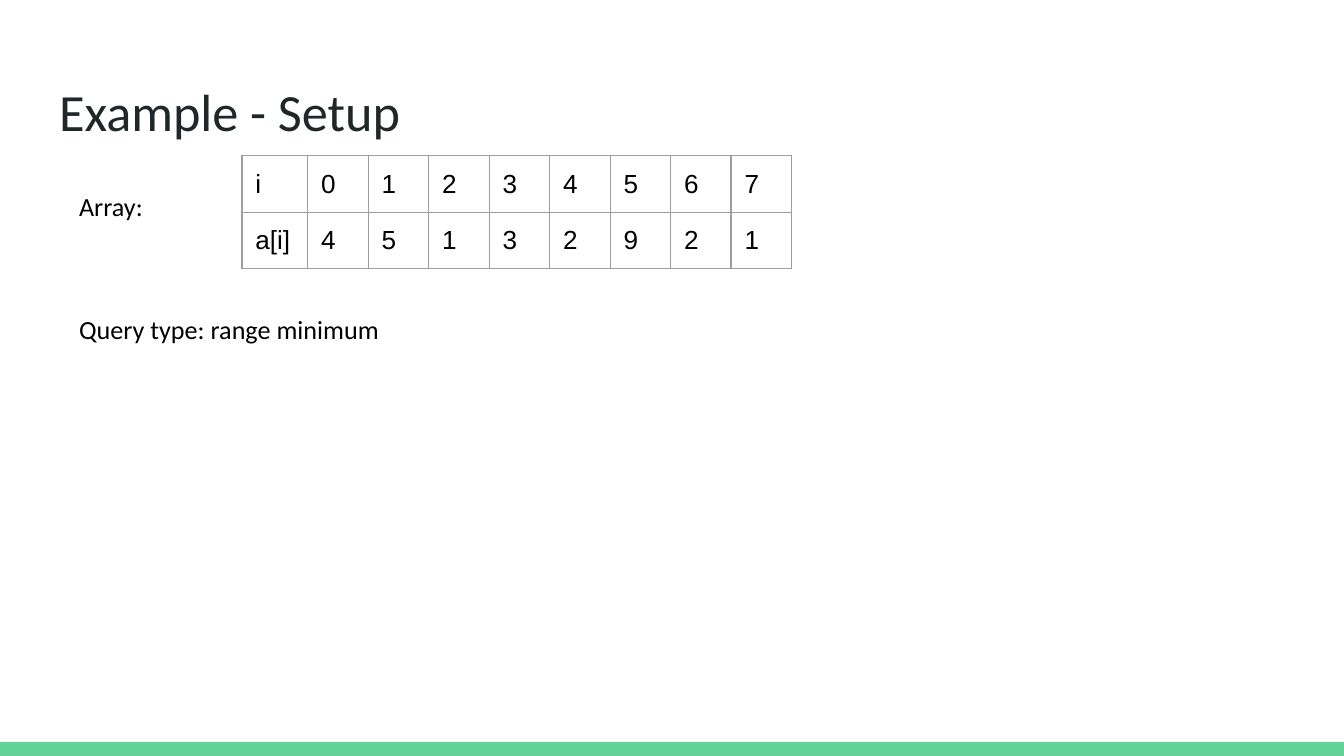
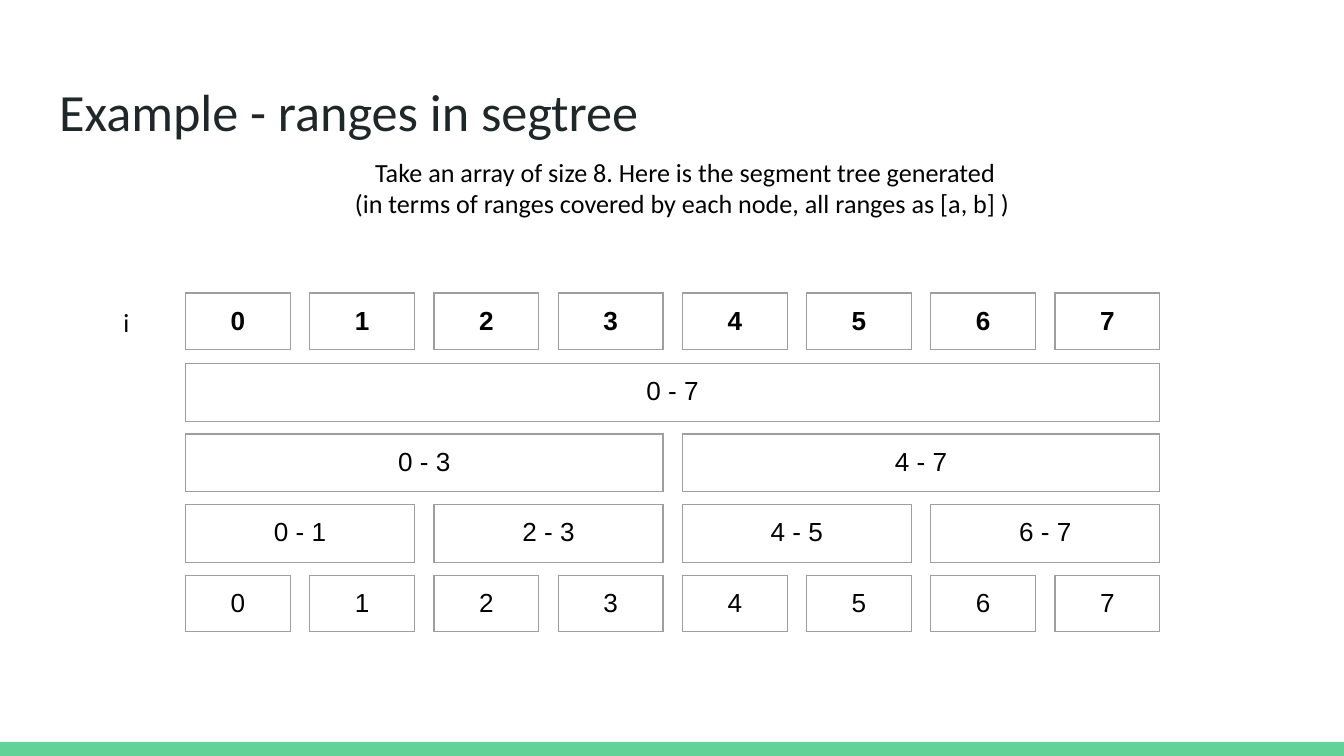
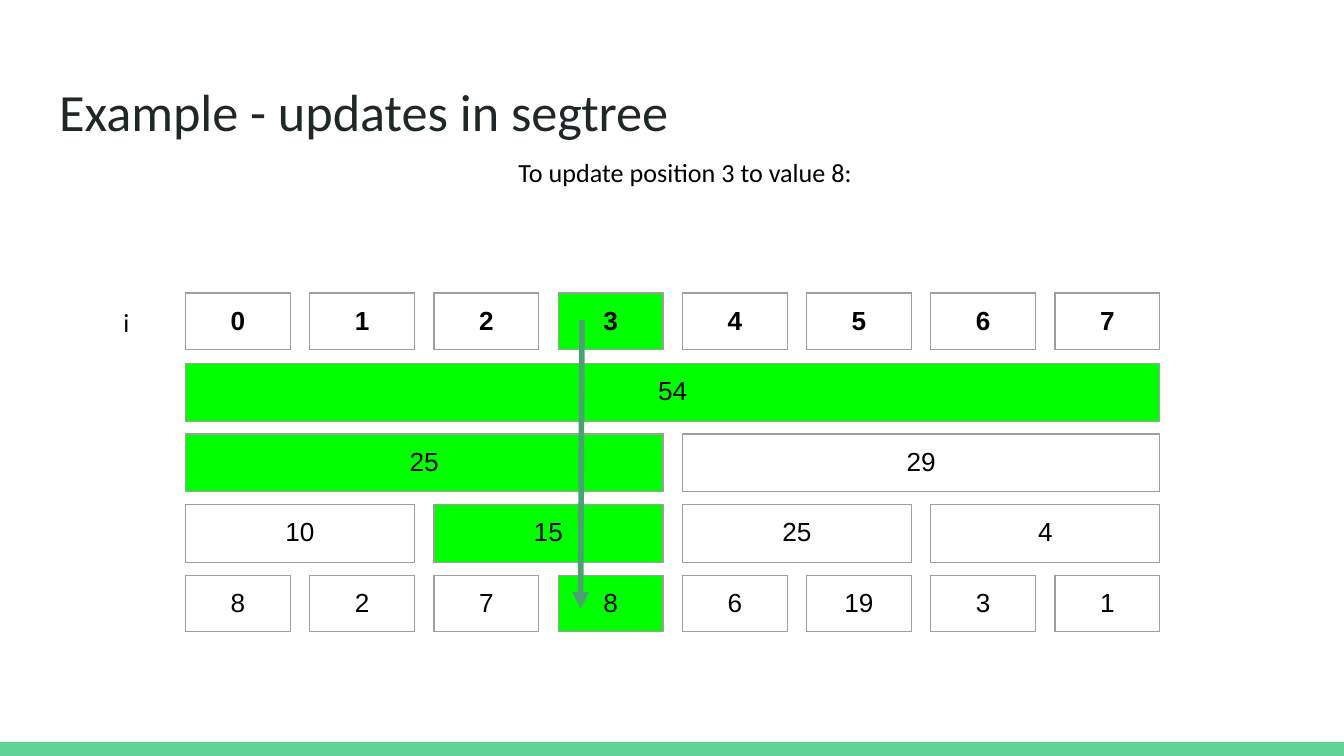
import pptx
import pptx.dml.color
import pptx.enum.shapes
import pptx.enum.text
import pptx.oxml.ns
import pptx.util
from lxml import etree

Inches = pptx.util.Inches
Pt = pptx.util.Pt
rgb = pptx.dml.color.RGBColor.from_string
qn = pptx.oxml.ns.qn
LEFT = pptx.enum.text.PP_ALIGN.LEFT
CENTER = pptx.enum.text.PP_ALIGN.CENTER

BAND, TITLE, BLACK = "63D297", "202729", "000000"
GRID, VISITED, ARROW = "9E9E9E", "00FF00", "4BA173"


def write(holder, text, size=14, font="Calibri", color=BLACK, bold=False, align=LEFT):
    """Fill a shape or a table cell with text, one paragraph per line."""
    frame = holder.text_frame
    inset = holder if hasattr(holder, "margin_left") else frame
    inset.margin_left = inset.margin_right = Inches(0.1)
    inset.margin_top = inset.margin_bottom = Inches(0.1)
    inset.vertical_anchor = pptx.enum.text.MSO_ANCHOR.TOP
    if inset is frame:
        frame.word_wrap = True
        frame.auto_size = pptx.enum.text.MSO_AUTO_SIZE.NONE
    frame.text = text
    for paragraph in frame.paragraphs:
        paragraph.alignment = align
        paragraph.font.size = Pt(size)
        paragraph.font.name = font
        paragraph.font.bold = bold
        paragraph.font.color.rgb = rgb(color)


def add_grid(slide, left, top, widths, height, rows, fill=None, **text_format):
    """Add a table with thin grey borders on every cell."""
    table = slide.shapes.add_table(
        len(rows), len(widths), Inches(left), Inches(top),
        Inches(sum(widths)), Inches(height * len(rows))).table
    table.first_row = table.horz_banding = False
    for column, width in zip(table.columns, widths):
        column.width = Inches(width)
    for r, row in enumerate(rows):
        for c, value in enumerate(row):
            cell = table.cell(r, c)
            write(cell, value, font="Arial", **text_format)
            properties = cell._tc.get_or_add_tcPr()
            for side in ("a:lnL", "a:lnR", "a:lnT", "a:lnB"):
                border = etree.SubElement(properties, qn(side), w=str(Pt(0.75)))
                solid = etree.SubElement(border, qn("a:solidFill"))
                etree.SubElement(solid, qn("a:srgbClr"), val=GRID)
            if fill:
                cell.fill.solid()
                cell.fill.fore_color.rgb = rgb(fill)
            else:
                cell.fill.background()


prs = pptx.Presentation()
prs.slide_width, prs.slide_height = Inches(10), Inches(5.625)

# Shared title place and bottom band
layout = prs.slide_layouts[5]
title_place = layout.placeholders[0]
title_place.left, title_place.top = Inches(0.34), Inches(0.49)
title_place.width, title_place.height = Inches(9.32), Inches(0.63)

slides = []
for heading in ("Example - Setup", "Example - ranges in segtree",
                "Example - updates in segtree"):
    slide = prs.slides.add_slide(layout)
    write(slide.shapes.title, heading, size=28, color=TITLE)
    slides.append(slide)
setup, ranges, updates = slides

band = setup.shapes.add_shape(
    pptx.enum.shapes.MSO_SHAPE.RECTANGLE, 0, Inches(5.52), Inches(10), Inches(0.11))
band.shadow.inherit = False
band.fill.solid()
band.fill.fore_color.rgb = rgb(BAND)
band.line.fill.background()
layout.shapes.element.append(band.element)

# Array and query type
add_grid(setup, 1.8, 1.16, [0.49] + [0.45] * 8, 0.42,
         [["i", *"01234567"], ["a[i]", *"45132921"]])

# Segment trees: the index row, then the levels from root to leaves
leaf_count = 8
tree_left, tree_width, leaf_width = 1.38, 7.25, 0.78
pitch = (tree_width - leaf_width) / (leaf_count - 1)
index_top, level_step = 2.18, 0.525
updated = 3

indices = [str(i) for i in range(leaf_count)]
range_levels = [["0 - 7"], ["0 - 3", "4 - 7"],
                ["0 - 1", "2 - 3", "4 - 5", "6 - 7"], indices]
sum_levels = [["54"], ["25", "29"], ["10", "15", "25", "4"],
              ["8", "2", "7", "8", "6", "19", "3", "1"]]

for slide, levels, visited in ((ranges, range_levels, None),
                               (updates, sum_levels, updated)):
    for depth, nodes in enumerate([indices] + levels):
        span = leaf_count // len(nodes)
        for n, node in enumerate(nodes):
            on_route = visited is not None and n == visited // span
            add_grid(slide, tree_left + n * span * pitch,
                     index_top + depth * level_step,
                     [leaf_width + (span - 1) * pitch],
                     0.42 if span == 1 else 0.43, [[node]],
                     fill=VISITED if on_route else None,
                     bold=depth == 0, align=CENTER)

# Captions
tree_intro = ("Take an array of size 8. Here is the segment tree generated\n"
              "(in terms of ranges covered by each node, all ranges as [a, b] ) ")
for slide, text, left, top, width, height, align in (
        (setup, "Array:", 0.49, 1.32, 0.83, 0.65, LEFT),
        (setup, "Query type: range minimum", 0.49, 2.23, 5.6, 0.42, LEFT),
        (ranges, tree_intro, 2.3, 1.06, 5.6, 0.65, CENTER),
        (ranges, "i", 0.82, index_top, 0.29, 0.43, LEFT),
        (updates, "To update position 3 to value 8:", 2.3, 1.06, 5.6, 0.65, CENTER),
        (updates, "i", 0.82, index_top, 0.29, 0.43, LEFT)):
    caption = slide.shapes.add_textbox(
        Inches(left), Inches(top), Inches(width), Inches(height))
    write(caption, text, align=align)

# Route of the update from the index down to its leaf
route = updates.shapes.add_connector(
    pptx.enum.shapes.MSO_CONNECTOR.STRAIGHT,
    Inches(4.33), Inches(2.38), Inches(4.32), Inches(4.53))
route.line.color.rgb = rgb(ARROW)
route.line.width = Pt(3)
etree.SubElement(route.line._get_or_add_ln(), qn("a:tailEnd"), type="triangle")
etree.SubElement(route.element.spPr, qn("a:effectLst"))

prs.save("out.pptx")
